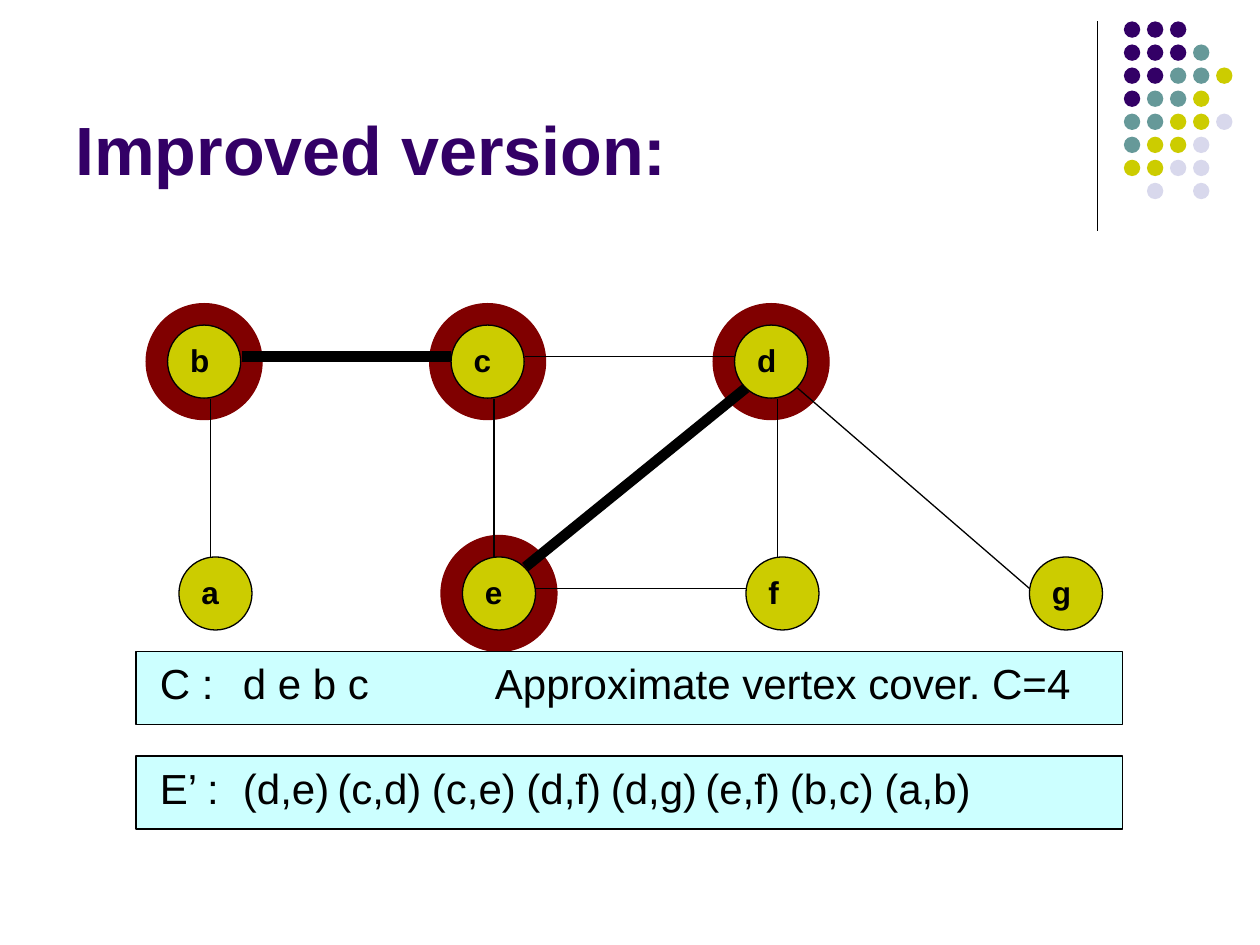
from lxml.etree import SubElement
from pptx import Presentation
from pptx.dml.color import RGBColor
from pptx.enum.shapes import MSO_CONNECTOR, MSO_SHAPE
from pptx.enum.text import MSO_ANCHOR
from pptx.oxml.ns import qn
from pptx.util import Inches, Pt

COLORS = {
    "black": "000000",
    "purple": "330066",
    "teal": "669999",
    "yellow": "CCCC00",
    "lavender": "D8D8EC",
    "maroon": "800000",
    "cyan": "CCFFFF",
}

presentation = Presentation()
presentation.slide_width = Inches(10)
presentation.slide_height = Inches(7.5)
slide = presentation.slides.add_slide(presentation.slide_layouts[6])


def add_filled_shape(kind, left, top, width, height, fill, line=None):
    shape = slide.shapes.add_shape(
        kind, Inches(left), Inches(top), Inches(width), Inches(height))
    shape.shadow.inherit = False
    shape.fill.solid()
    shape.fill.fore_color.rgb = RGBColor.from_string(COLORS[fill])
    if line:
        shape.line.color.rgb = RGBColor.from_string(COLORS[line])
        shape.line.width = Pt(0.75)
    else:
        shape.line.fill.background()


def add_label(text, left, top, width, height, size, color="black", bold=False):
    shape = slide.shapes.add_textbox(
        Inches(left), Inches(top), Inches(width), Inches(height))
    shape.text_frame.word_wrap = True
    shape.text_frame.vertical_anchor = MSO_ANCHOR.BOTTOM if size > 30 else MSO_ANCHOR.TOP
    paragraph = shape.text_frame.paragraphs[0]
    paragraph.text = text
    paragraph.font.name = "Arial"
    paragraph.font.size = Pt(size)
    paragraph.font.bold = bold
    paragraph.font.color.rgb = RGBColor.from_string(COLORS[color])


# Corner dots: one letter per dot, a space where the grid is empty
dot_colors = {"p": "purple", "t": "teal", "y": "yellow", "l": "lavender"}
dot_rows = ["ppp", "pppt", "pptty", "ptty", "ttyyl", "tyyl", "yyll", " l l"]
dot_pitch = 0.183
for row, letters in enumerate(dot_rows):
    for column, letter in enumerate(letters):
        if letter != " ":
            add_filled_shape(MSO_SHAPE.OVAL, 8.92 + column * dot_pitch,
                             0.17 + row * dot_pitch, 0.13, 0.13, dot_colors[letter])

add_label("Improved version:", 0.5, 0.13, 8.25, 1.42, 39, "purple", bold=True)

# Graph vertices, with a halo around each vertex of the cover
vertices = {
    "b": (1.33, 2.58), "a": (1.42, 4.42), "c": (3.58, 2.58), "e": (3.67, 4.42),
    "d": (5.83, 2.58), "f": (5.92, 4.42), "g": (8.17, 4.42),
}
for name in "decb":
    left, top = vertices[name]
    add_filled_shape(MSO_SHAPE.OVAL, left - 0.17, top - 0.17, 0.92, 0.92,
                     "maroon", "maroon")
for name, (left, top) in vertices.items():
    add_filled_shape(MSO_SHAPE.OVAL, left, top, 0.58, 0.58, "yellow", "black")
    add_label(name, left + 0.08, top + 0.08, 0.42, 0.4, 18, bold=True)

# Title divider, then graph edges; the chosen edges are thick
lines = [
    (8.71, 0.17, 8.71, 1.83, 0.75),
    (1.67, 3.17, 1.67, 4.42, 0.75),  # a-b
    (3.92, 3.17, 3.92, 4.42, 0.75),  # c-e
    (6.17, 3.17, 6.17, 4.42, 0.75),  # d-f
    (4.17, 2.83, 5.83, 2.83, 0.75),  # c-d
    (4.25, 4.67, 5.92, 4.67, 0.75),  # e-f
    (6.33, 3.08, 8.17, 4.67, 0.75),  # d-g
    (1.92, 2.83, 3.58, 2.83, 6),     # b-c
    (4.17, 4.5, 5.92, 3.08, 6),      # d-e
]
for start_x, start_y, end_x, end_y, width in lines:
    connector = slide.shapes.add_connector(
        MSO_CONNECTOR.STRAIGHT, Inches(start_x), Inches(start_y),
        Inches(end_x), Inches(end_y))
    connector.line.color.rgb = RGBColor.from_string(COLORS["black"])
    connector.line.width = Pt(width)
    SubElement(connector._element.spPr, qn("a:effectLst"))

# Result bars: top, then the labels as (text, left, width)
bars = [
    (5.17, [("C :", 1.17, 0.92), ("d e b c", 1.83, 1.42),
            ("Approximate vertex cover. C=4", 3.83, 5.08)]),
    (6, [("E’ :", 1.17, 0.92), ("(d,e)", 1.83, 0.92), ("(c,d)", 2.58, 0.92),
         ("(c,e)", 3.33, 0.92), ("(d,f)", 4.08, 0.92), ("(d,g)", 4.75, 0.92),
         ("(e,f)", 5.5, 0.92), ("(b,c)", 6.17, 0.92), ("(a,b)", 6.92, 0.92)]),
]
for top, labels in bars:
    add_filled_shape(MSO_SHAPE.RECTANGLE, 1.08, top, 7.83, 0.58, "cyan", "black")
    for text, left, width in labels:
        add_label(text, left, top, width, 0.5, 24)

presentation.save("out.pptx")
